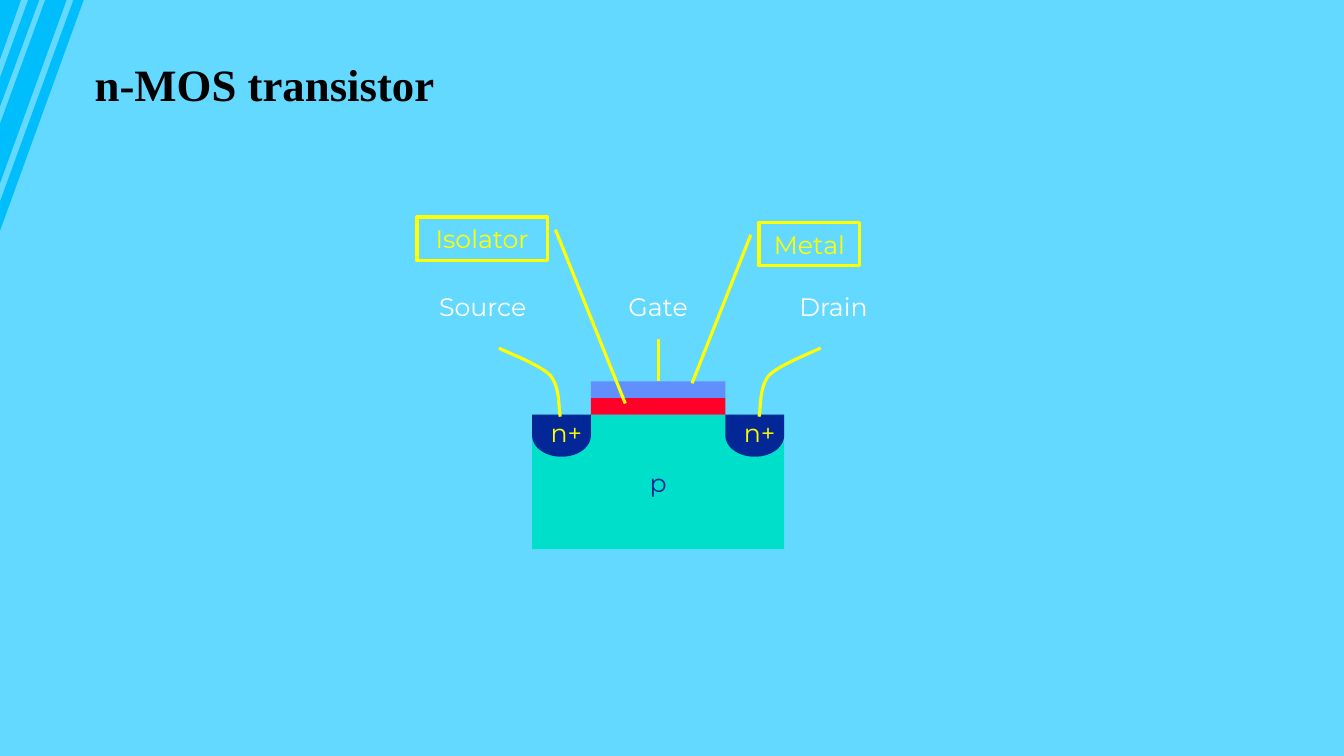
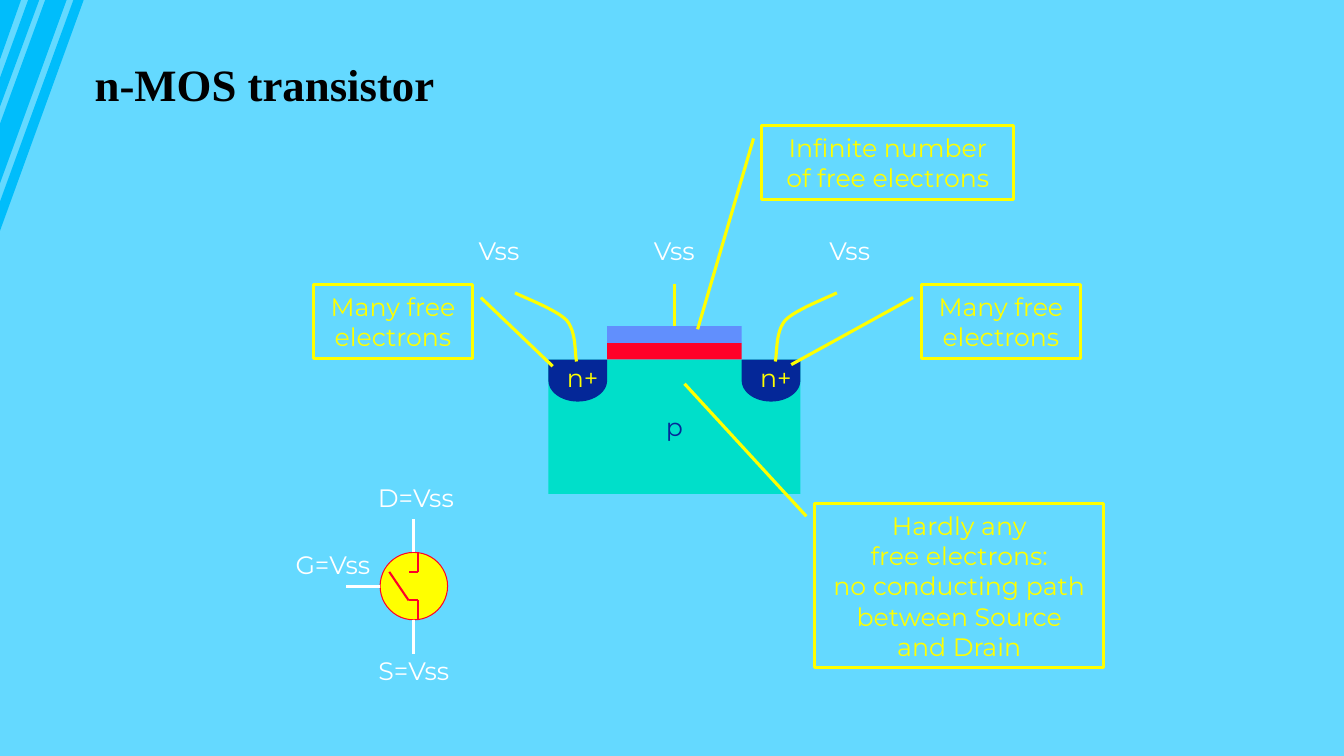
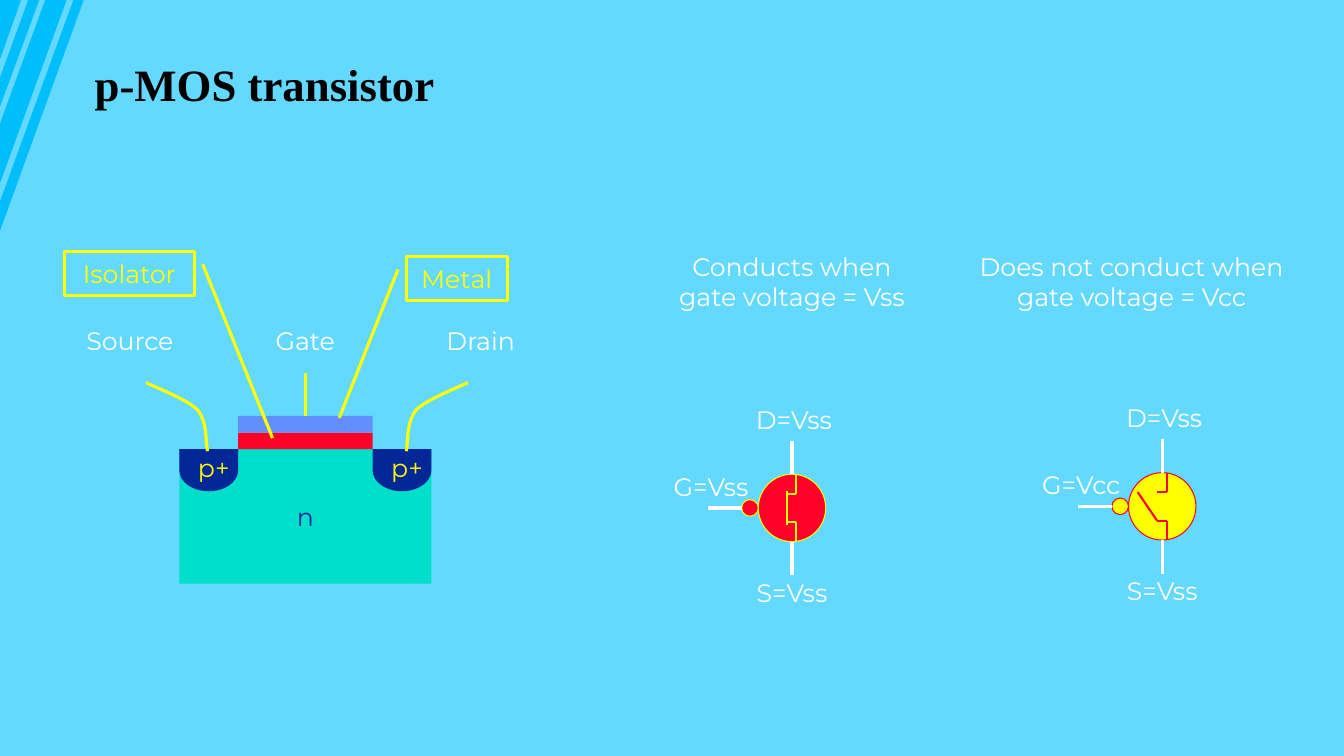
from pptx import Presentation
from pptx.dml.color import RGBColor
from pptx.enum import shapes, text
from pptx.oxml import parse_xml
from pptx.oxml.ns import nsdecls
from pptx.util import Cm, Pt

COLOURS = {
    "sky": "64D9FF", "band": "00BDFB", "title": "000000", "label": "FFFFFF",
    "yellow": "FFFF00", "red": "FF0028", "substrate": "00DFCA",
    "well": "042798", "metal": "618FFD",
}
BODY_FONT, TITLE_FONT = "Montserrat", "Times New Roman"
KIND = shapes.MSO_SHAPE

# All lengths are centimetres.
STRIPES = [
    [(1.85, 0), (2.11, 0), (0, 5.82), (0, 5.08)],
    [(0.99, 0), (0, 2.69), (0, 1.96), (0.71, 0)],
    [(1.68, 0), (0, 4.62), (0, 3.12), (1.14, 0)],
    [(0, 0), (0.53, 0), (0, 1.5)],
]

# Callouts: lines, box and target, measured from the substrate's top left corner.
LAYER_CALLOUTS = [
    (["Metal"], (5.72, -4.85, 2.54, 1.1), (4.03, -0.79)),
    (["Isolator"], (-2.9, -4.98, 3.28, 1.1), (2.35, -0.28)),
]
MANY_FREE = ["Many free", "electrons"]
ELECTRON_CALLOUTS = [
    (["Infinite number", "of free electrons"], (5.38, -5.89, 6.35, 1.85), (3.76, -0.76)),
    (MANY_FREE, (9.4, -1.88, 4.01, 1.85), (6.12, 0.13)),
    (MANY_FREE, (-5.92, -1.88, 4.01, 1.85), (0.11, 0.17)),
    (["Hardly any", "free electrons:", "no conducting path", "between Source", "and Drain"],
     (6.71, 3.63, 7.29, 4.14), (3.43, 0.61)),
]
# Terminal names with their box widths.
NAMED_TERMINALS = [("Source", 2.95), ("Gate", 2.16), ("Drain", 2.34)]
VSS_TERMINALS = [("Vss", 1.78)] * 3

SLIDES = [
    {"title": "n-MOS transistor",
     "transistor": {"origin": (13.41, 10.45), "substrate": "p", "well": "n+",
                    "terminals": NAMED_TERMINALS, "callouts": LAYER_CALLOUTS},
     "switches": [], "captions": []},
    {"title": "n-MOS transistor",
     "transistor": {"origin": (13.82, 9.06), "substrate": "p", "well": "n+",
                    "terminals": VSS_TERMINALS, "callouts": ELECTRON_CALLOUTS},
     "switches": [{"centre": (10.43, 14.77), "gate": "G=Vss", "closed": False, "bubble": False}],
     "captions": []},
    {"title": "p-MOS transistor",
     "transistor": {"origin": (4.52, 11.32), "substrate": "n", "well": "p+",
                    "terminals": NAMED_TERMINALS, "callouts": LAYER_CALLOUTS},
     "switches": [
         {"centre": (19.96, 12.8), "gate": "G=Vss", "closed": True, "bubble": True},
         {"centre": (29.29, 12.76), "gate": "G=Vcc", "closed": False, "bubble": True}],
     "captions": [
         (["Conducts when", "gate voltage = Vss"], (19.96, 7.09), 6.96),
         (["Does not conduct when", "gate voltage = Vcc"], (28.52, 7.09), 8.69)]},
]

SUBSTRATE_W, SUBSTRATE_H = 6.35, 3.39
WELL_W, WELL_DEPTH = 1.48, 1.06
LAYER_H = 0.42
TERMINAL_STEP, TERMINAL_Y = 4.42, -2.74
LEAD_MIRROR = 6.43
LEAD_CURVES = [
    [(-0.84, -1.68), (-0.64, -1.57), (0.18, -1.27), (0.46, -0.99)],
    [(0.46, -0.99), (0.71, -0.69), (0.66, -0.18), (0.71, 0.05)],
]
CURVE_STEPS = 12
CALLOUT_DROP, CALLOUT_GAP = 0.32, 0.21
RADIUS, BUBBLE = 0.85, 0.42
CONTACT_X, CONTACT_Y, TIP_X = 0.11, 0.36, -0.13


def rgb(name):
    return RGBColor.from_string(COLOURS[name])


def write(shape, lines, colour, size=18, font=BODY_FONT, bold=False,
          align=text.PP_ALIGN.CENTER):
    frame = shape.text_frame
    frame.word_wrap = False
    frame.auto_size = text.MSO_AUTO_SIZE.NONE
    frame.vertical_anchor = text.MSO_ANCHOR.MIDDLE
    for i, line in enumerate(lines):
        paragraph = frame.add_paragraph() if i else frame.paragraphs[0]
        paragraph.alignment = align
        run = paragraph.add_run()
        run.text = line
        run.font.size, run.font.name, run.font.bold = Pt(size), font, bold
        run.font.color.rgb = rgb(colour)


def paint(shape, fill=None, line=None, width=2.25):
    shape.shadow.inherit = False
    if fill:
        shape.fill.solid()
        shape.fill.fore_color.rgb = rgb(fill)
    else:
        shape.fill.background()
    if line:
        shape.line.color.rgb = rgb(line)
        shape.line.width = Pt(width)
    else:
        shape.line.fill.background()


def add_block(slide, kind, x, y, w, h, **look):
    block = slide.shapes.add_shape(kind, Cm(x), Cm(y), Cm(w), Cm(h))
    paint(block, **look)
    return block


def add_label(slide, lines, centre, width):
    height = 0.26 + 0.76 * len(lines)
    label = slide.shapes.add_textbox(Cm(centre[0] - width / 2), Cm(centre[1] - height / 2),
                                     Cm(width), Cm(height))
    write(label, lines, "label")


def add_line(slide, start, end, colour, width=2.25):
    line = slide.shapes.add_connector(shapes.MSO_CONNECTOR.STRAIGHT,
                                      *(Cm(v) for v in (*start, *end)))
    line.line.color.rgb = rgb(colour)
    line.line.width = Pt(width)
    line.element.spPr.append(parse_xml(f"<a:effectLst {nsdecls('a')}/>"))


def add_outline(slide, contours, close):
    in_emu = [[(Cm(x), Cm(y)) for x, y in contour] for contour in contours]
    builder = slide.shapes.build_freeform(*in_emu[0][0])
    for i, contour in enumerate(in_emu):
        if i:
            builder.move_to(*contour[0])
        builder.add_line_segments(contour[1:], close=close)
    return builder.convert_to_shape()


def bezier(points, t):
    weights = ((1 - t) ** 3, 3 * t * (1 - t) ** 2, 3 * t ** 2 * (1 - t), t ** 3)
    return tuple(sum(w * p[axis] for w, p in zip(weights, points)) for axis in (0, 1))


def add_callout(slide, origin, lines, box, target):
    x, y, w, h = box
    callout = add_block(slide, KIND.LINE_CALLOUT_1, origin[0] + x, origin[1] + y, w, h,
                        line="yellow")
    start_x = -CALLOUT_GAP if target[0] < x else w + CALLOUT_GAP
    ratios = (CALLOUT_DROP / h, start_x / w, (target[1] - y) / h, (target[0] - x) / w)
    for i, ratio in enumerate(ratios):
        callout.adjustments[i] = ratio
    write(callout, lines, "yellow")


def add_well(slide, x, y, name):
    """Add a doped well, a delay shape turned to point down with upright text."""
    well = add_block(slide, KIND.FLOWCHART_DELAY, x + (WELL_W - WELL_DEPTH) / 2,
                     y + (WELL_DEPTH - WELL_W) / 2, WELL_DEPTH, WELL_W, fill="well")
    well.rotation = 90
    write(well, [name], "yellow")
    body = well.element.txBody.bodyPr
    body.set("rot", "10800000")
    body.set("vert", "eaVert")


def add_transistor(slide, origin, substrate, well, terminals, callouts):
    x, y = origin
    bulk = add_block(slide, KIND.RECTANGLE, x, y, SUBSTRATE_W, SUBSTRATE_H, fill="substrate")
    write(bulk, [substrate], "well")
    for well_x in (x + SUBSTRATE_W - WELL_W, x):
        add_well(slide, well_x, y, well)
    for level, colour in enumerate(("red", "metal"), 1):
        add_block(slide, KIND.RECTANGLE, x + WELL_W, y - level * LAYER_H,
                  SUBSTRATE_W - 2 * WELL_W, LAYER_H, fill=colour)

    lead = [bezier(curve, i / CURVE_STEPS) for curve in LEAD_CURVES
            for i in range(CURVE_STEPS + 1)]
    for points in (lead, [(LEAD_MIRROR - px, py) for px, py in lead]):
        curve = add_outline(slide, [[(x + px, y + py) for px, py in points]], close=False)
        paint(curve, line="yellow")
    middle = x + SUBSTRATE_W / 2
    add_line(slide, (middle, y - 1.91), (middle, y - 2 * LAYER_H), "yellow")

    for i, (name, width) in enumerate(terminals):
        add_label(slide, [name], (middle + (i - 1) * TERMINAL_STEP, y + TERMINAL_Y), width)
    for callout in callouts:
        add_callout(slide, origin, *callout)


def add_switch(slide, centre, gate, closed, bubble):
    x, y = centre
    fill, ink = ("red", "yellow") if closed else ("yellow", "red")
    look = {"fill": fill, "line": ink, "width": 0.75}
    add_block(slide, KIND.FLOWCHART_CONNECTOR, x - RADIUS, y - RADIUS,
              2 * RADIUS, 2 * RADIUS, **look)
    gate_x = x - RADIUS
    if bubble:
        gate_x -= BUBBLE
        add_block(slide, KIND.FLOWCHART_CONNECTOR, gate_x, y - BUBBLE / 2,
                  BUBBLE, BUBBLE, **look)
    for side in (-1, 1):
        contact = (x + CONTACT_X, y + side * CONTACT_Y)
        add_line(slide, (x + CONTACT_X, y + side * RADIUS), contact, ink, 1.5)
        add_line(slide, contact, (x + TIP_X, contact[1]), ink, 1.5)
        add_line(slide, (x, y + side * RADIUS), (x, y + side * 2 * RADIUS), "label")
    add_line(slide, (gate_x, y), (gate_x - RADIUS, y), "label")
    blade = ((TIP_X, 0.43), (TIP_X, -0.43)) if closed else ((TIP_X, CONTACT_Y), (-0.62, -CONTACT_Y))
    add_line(slide, *((x + dx, y + dy) for dx, dy in blade), ink, 1.5)

    for name, dx, dy in (("S=Vss", 0, 2.12), ("D=Vss", 0.05, -2.24), (gate, -2.04, -0.55)):
        add_label(slide, [name], (x + dx, y + dy), 2.7)


def add_title(slide, title):
    heading = slide.shapes.title
    heading.left, heading.top, heading.width, heading.height = (
        Cm(v) for v in (2.13, 1.3, 9.14, 1.63))
    write(heading, [title], "title", 32, TITLE_FONT, True, text.PP_ALIGN.LEFT)


def style_master(prs, slide):
    """Set the background and move the corner band, built on a slide, to the master."""
    master = prs.slide_master
    master.background.fill.solid()
    master.background.fill.fore_color.rgb = rgb("sky")
    band = add_outline(slide, STRIPES, close=True)
    paint(band, fill="band")
    master.element.cSld.spTree.insert(2, band.element)


def main():
    prs = Presentation()
    prs.slide_width, prs.slide_height = Cm(33.87), Cm(19.05)
    for i, content in enumerate(SLIDES):
        slide = prs.slides.add_slide(prs.slide_layouts[5])
        if i == 0:
            style_master(prs, slide)
        add_title(slide, content["title"])
        add_transistor(slide, **content["transistor"])
        for switch in content["switches"]:
            add_switch(slide, **switch)
        for caption in content["captions"]:
            add_label(slide, *caption)
    prs.save("out.pptx")


if __name__ == "__main__":
    main()
